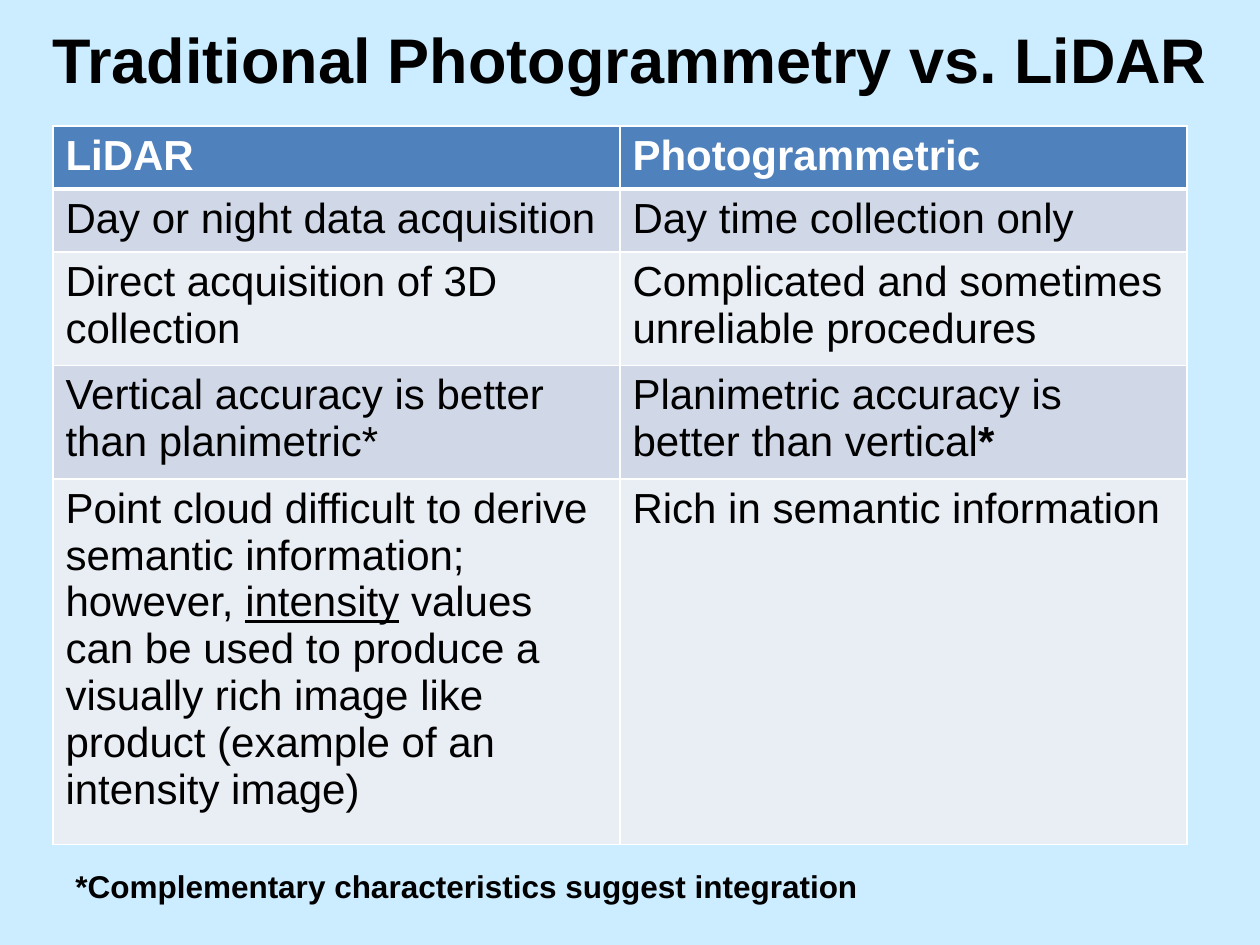
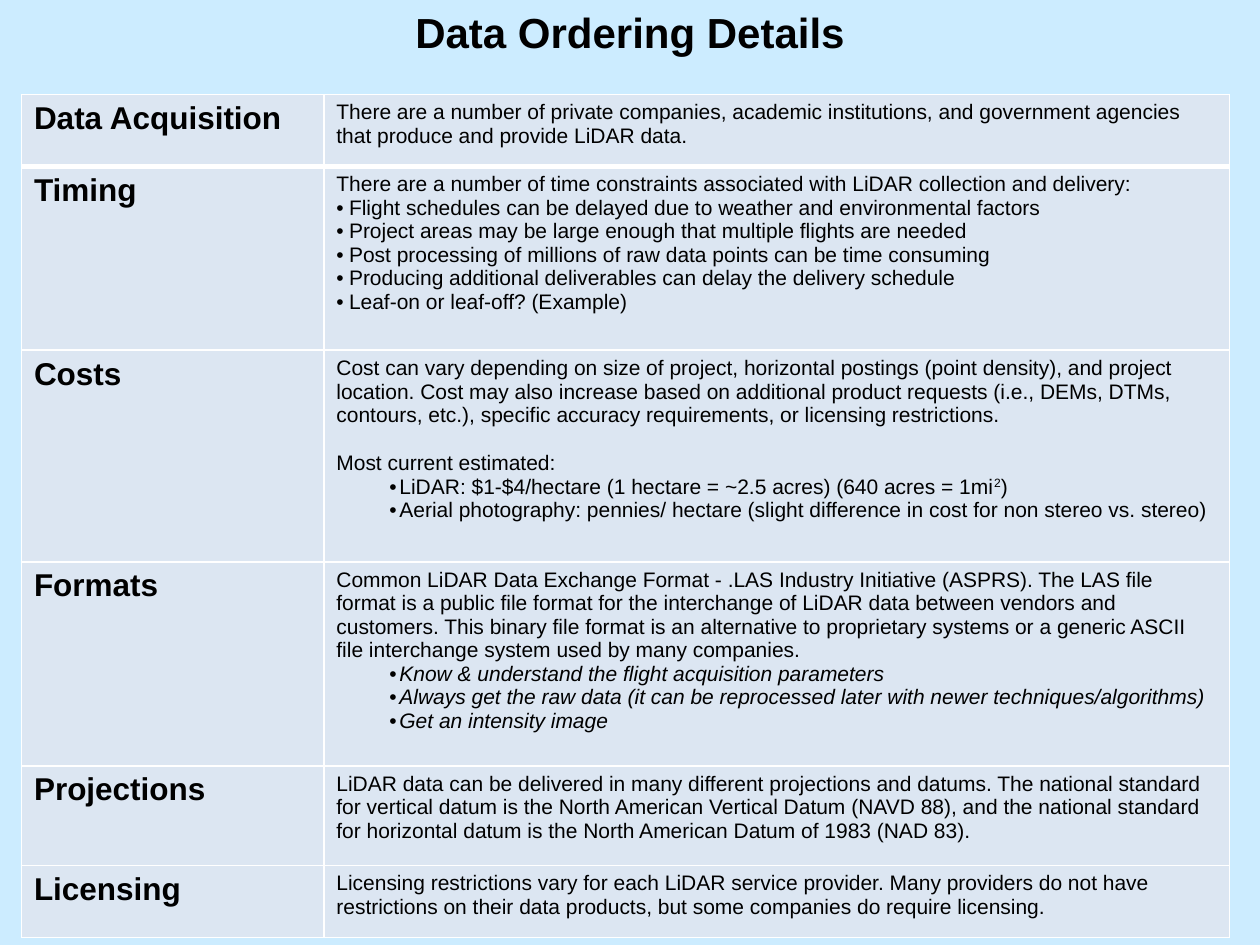
from dataclasses import dataclass

import pptx
import pptx.dml.color
import pptx.enum.text
import pptx.oxml
import pptx.oxml.ns
import pptx.util

RGBColor = pptx.dml.color.RGBColor
SKY = RGBColor(0xCC, 0xEC, 0xFF)
BLACK = RGBColor(0x00, 0x00, 0x00)
WHITE = RGBColor(0xFF, 0xFF, 0xFF)
HEADER_BLUE = RGBColor(0x4F, 0x81, 0xBD)
BAND_DARK = RGBColor(0xD0, 0xD8, 0xE8)
BAND_LIGHT = RGBColor(0xE9, 0xED, 0xF4)
DETAIL_FILL = RGBColor(0xDC, 0xE6, 0xF2)

FONT = "Arial"
EMU_PER_PX = 9144  # 100 px to the inch


@dataclass
class Style:
    size: int
    bold: bool = False
    color: RGBColor = BLACK


@dataclass
class Span:
    text: str
    bold: bool = False
    italic: bool = False
    underline: bool = False
    superscript: bool = False


@dataclass
class Para:
    spans: list
    margin: int = 0
    hang: int = 0  # width kept for the bullet; 0 means no bullet
    before: int = 0


TITLE = Style(36, bold=True)
SMALL_TITLE = Style(24, bold=True)
NOTE = Style(18, bold=True)
COMPARE_HEAD = Style(24, bold=True, color=WHITE)
COMPARE_BODY = Style(24)
TOPIC = Style(18, bold=True)
DETAIL = Style(12)


def px(length):
    return pptx.util.Emu(length * EMU_PER_PX)


def plain(text, before=0):
    return Para([Span(text)], before=before)


def bullet(text):
    return Para([Span(text)], margin=10, hang=10)


def sub_bullet(*spans):
    return Para(list(spans), margin=50, hang=8)


COMPARISON = [
    ("LiDAR", "Photogrammetric"),
    ("Day or night data acquisition", "Day time collection only"),
    ("Direct acquisition of 3D collection",
     "Complicated and sometimes unreliable procedures"),
    ("Vertical accuracy is better than planimetric*",
     Para([Span("Planimetric accuracy is better than vertical"),
           Span("*", bold=True)])),
    (Para([Span("Point cloud difficult to derive semantic information; however, "),
           Span("intensity", underline=True),
           Span(" values can be used to produce a visually rich image like "
                "product (example of an intensity image)")]),
     "Rich in semantic information"),
]

ORDERING = [
    ("Data Acquisition", [
        plain("There are a number of private companies, academic institutions, "
              "and government agencies that produce and provide LiDAR data."),
    ]),
    ("Timing", [
        plain("There are a number of time constraints associated with LiDAR "
              "collection and delivery:"),
        bullet("Flight schedules can be delayed due to weather and "
               "environmental factors"),
        bullet("Project areas may be large enough that multiple flights are needed"),
        bullet("Post processing of millions of raw data points can be time consuming"),
        bullet("Producing additional deliverables can delay the delivery schedule"),
        bullet("Leaf-on or leaf-off? (Example)"),
    ]),
    ("Costs", [
        plain("Cost can vary depending on size of project, horizontal postings "
              "(point density), and project location. Cost may also increase "
              "based on additional product requests (i.e., DEMs, DTMs, contours, "
              "etc.), specific accuracy requirements, or licensing restrictions."),
        plain("Most current estimated:", before=14),
        sub_bullet(Span("LiDAR: $1-$4/hectare (1 hectare = ~2.5 acres) "
                        "(640 acres = 1mi"),
                   Span("2", superscript=True), Span(")")),
        sub_bullet(Span("Aerial photography: pennies/ hectare (slight difference "
                        "in cost for non stereo vs. stereo)")),
    ]),
    ("Formats", [
        plain("Common LiDAR Data Exchange Format - .LAS Industry Initiative "
              "(ASPRS). The LAS file format is a public file format for the "
              "interchange of LiDAR data between vendors and customers. This "
              "binary file format is an alternative to proprietary systems or a "
              "generic ASCII file interchange system used by many companies."),
        sub_bullet(Span("Know & understand the flight acquisition parameters",
                        italic=True)),
        sub_bullet(Span("Always get the raw data (it can be reprocessed later "
                        "with newer techniques/algorithms)", italic=True)),
        sub_bullet(Span("Get an intensity image", italic=True)),
    ]),
    ("Projections", [
        plain("LiDAR data can be delivered in many different projections and "
              "datums. The national standard for vertical datum is the North "
              "American Vertical Datum (NAVD 88), and the national standard for "
              "horizontal datum is the North American Datum of 1983 (NAD 83)."),
    ]),
    ("Licensing", [
        plain("Licensing restrictions vary for each LiDAR service provider. Many "
              "providers do not have restrictions on their data products, but "
              "some companies do require licensing."),
    ]),
]


def add_bullet(paragraph, margin, hang):
    properties = paragraph._p.get_or_add_pPr()
    properties.set("marL", str(px(margin)))
    properties.set("indent", str(-px(hang)))
    font = pptx.oxml.parse_xml(
        f'<a:buFont {pptx.oxml.ns.nsdecls("a")} typeface="{FONT}"/>')
    mark = pptx.oxml.parse_xml(
        f'<a:buChar {pptx.oxml.ns.nsdecls("a")} char="•"/>')
    properties.extend([font, mark])


def write_text(frame, content, style, align=pptx.enum.text.PP_ALIGN.LEFT):
    """Fill a frame with a string, one Para or a list of Paras."""
    if isinstance(content, str):
        content = plain(content)
    paras = content if isinstance(content, list) else [content]
    frame.word_wrap = True
    for index, para in enumerate(paras):
        paragraph = frame.add_paragraph() if index else frame.paragraphs[0]
        if para.hang:
            add_bullet(paragraph, para.margin, para.hang)
        paragraph.alignment = align
        if para.before:
            paragraph.space_before = pptx.util.Pt(para.before)
        for span in para.spans:
            run = paragraph.add_run()
            run.text = span.text
            run.font.name = FONT
            run.font.size = pptx.util.Pt(style.size)
            run.font.color.rgb = style.color
            run.font.bold = style.bold or span.bold
            run.font.italic = span.italic
            run.font.underline = span.underline
            if span.superscript:
                run._r.get_or_add_rPr().set("baseline", "30000")


def add_page(deck):
    page = deck.slides.add_slide(deck.slide_layouts[6])
    page.background.fill.solid()
    page.background.fill.fore_color.rgb = SKY
    return page


def add_text(page, left, top, width, height, text, style):
    box = page.shapes.add_textbox(px(left), px(top), px(width), px(height))
    write_text(box.text_frame, text, style)
    return box


def add_title(page, left, width, height, text, style):
    box = add_text(page, left, 0, width, height, text, style)
    box.text_frame.vertical_anchor = pptx.enum.text.MSO_ANCHOR.MIDDLE
    box.text_frame.paragraphs[0].alignment = pptx.enum.text.PP_ALIGN.CENTER


def set_borders(cell, row):
    """White rules of 1 pt, with a 3 pt rule under the first row."""
    widths = {"L": 1, "R": 1, "T": 3 if row == 1 else 1, "B": 3 if row == 0 else 1}
    properties = cell._tc.get_or_add_tcPr()
    for side, width in widths.items():
        properties.append(pptx.oxml.parse_xml(
            f'<a:ln{side} {pptx.oxml.ns.nsdecls("a")} w="{pptx.util.Pt(width)}">'
            f'<a:solidFill><a:srgbClr val="{WHITE}"/></a:solidFill></a:ln{side}>'))


def add_grid(page, left, top, widths, heights, rows, look):
    """Add a table; look(row, column) gives the fill and text style of a cell."""
    table = page.shapes.add_table(
        len(heights), len(widths), px(left), px(top),
        px(sum(widths)), px(sum(heights))).table
    table.first_row = False
    table.horz_banding = False
    for column, width in zip(table.columns, widths):
        column.width = px(width)
    for row, (height, contents) in enumerate(zip(heights, rows)):
        table.rows[row].height = px(height)
        for column, content in enumerate(contents):
            cell = table.cell(row, column)
            fill, style = look(row, column)
            set_borders(cell, row)
            cell.fill.solid()
            cell.fill.fore_color.rgb = fill
            write_text(cell.text_frame, content, style)


def comparison_look(row, column):
    if row == 0:
        return HEADER_BLUE, COMPARE_HEAD
    return (BAND_DARK if row % 2 else BAND_LIGHT), COMPARE_BODY


def ordering_look(row, column):
    return DETAIL_FILL, (DETAIL if column else TOPIC)


def add_comparison_page(deck):
    page = add_page(deck)
    add_title(page, 0, 1000, 92, "Traditional Photogrammetry vs. LiDAR", TITLE)
    add_grid(page, 42, 100, [450, 450], [50, 50, 90, 90, 290],
             COMPARISON, comparison_look)
    add_text(page, 50, 683, 648, 40,
             "*Complementary characteristics suggest integration", NOTE)


def add_ordering_page(deck):
    page = add_page(deck)
    add_title(page, 50, 900, 50, "Data Ordering Details", SMALL_TITLE)
    add_grid(page, 17, 75, [240, 719], [57, 146, 168, 162, 79, 57],
             ORDERING, ordering_look)


def main():
    deck = pptx.Presentation()
    deck.slide_width = px(1000)
    deck.slide_height = px(750)
    add_comparison_page(deck)
    add_ordering_page(deck)
    deck.save("out.pptx")


if __name__ == "__main__":
    main()
